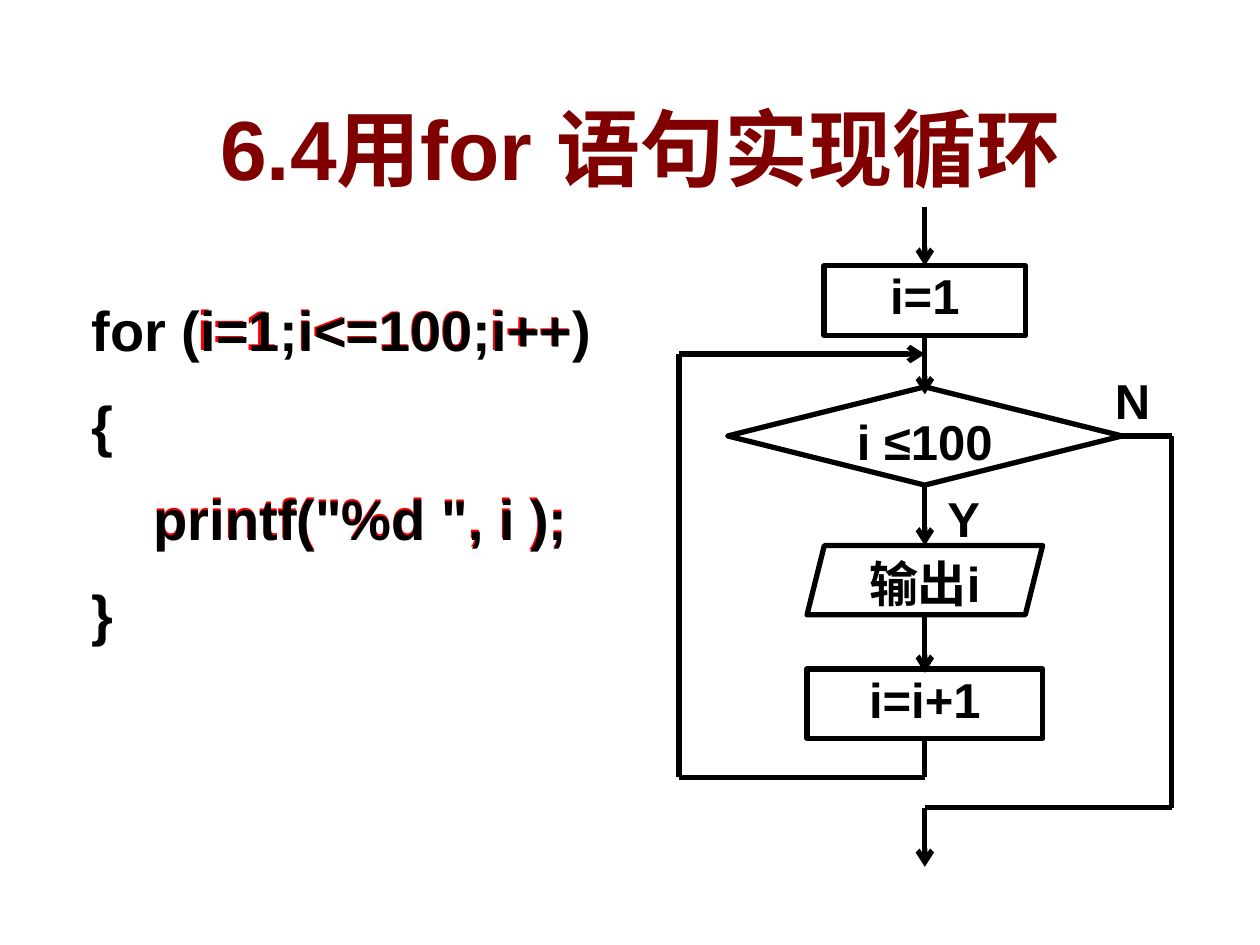
"""Build a slide showing a for loop beside its flowchart."""
from typing import NamedTuple

from lxml import etree
from pptx import Presentation
from pptx.dml.color import RGBColor
from pptx.enum.shapes import MSO_CONNECTOR, MSO_SHAPE as Preset
from pptx.enum.text import MSO_ANCHOR as Anchor, PP_ALIGN as Align
from pptx.oxml import parse_xml
from pptx.oxml.ns import nsdecls, qn
from pptx.util import Inches, Pt

BLACK, WHITE, RED, MAROON = "000000", "FFFFFF", "FF0000", "800000"
AXIS, LOOP_LEFT, EXIT_RIGHT = 7.34, 5.39, 9.3
LOOP_TOP, LOOP_BOTTOM, EXIT_TOP, DECISION_Y = 2.81, 6.17, 6.41, 3.46
ARROW_LENGTH = 0.47


class Label(NamedTuple):
    text: str
    left: float
    top: float
    width: float
    height: float
    color: str = BLACK
    size: int = 32
    line_spacing: float = 1.2


class Step(NamedTuple):
    text: str
    preset: Preset
    top: float
    width: float
    height: float = 0.55


class Line(NamedTuple):
    start: tuple[float, float]
    end: tuple[float, float]
    arrow: bool = False


CODE = 'for (i=1;i<=100;i++)\n{\n    printf("%d ", i );\n}'

LABELS = [
    Label('printf("%d ", i );', 1.12, 3.67, 3.67, 0.78, RED),
    Label("i++", 3.79, 2.18, 1.02, 0.78, RED),
    Label("i<=100", 2.26, 2.18, 1.8, 0.7, RED),
    Label("i=1", 1.47, 2.18, 1.02, 0.63, RED),
    Label(CODE, 0.63, 2.19, 4.22, 3.13),
    Label("Y", 7.42, 3.83, 0.55, 0.57, size=28, line_spacing=1),
    Label("N", 8.75, 2.89, 0.55, 0.57, size=28, line_spacing=1),
]

STEPS = [
    Step("i=1", Preset.FLOWCHART_PROCESS, 2.11, 1.6),
    Step("i ≤100", Preset.FLOWCHART_DECISION, 3.07, 3.13, 0.78),
    Step("输出i", Preset.PARALLELOGRAM, 4.33, 1.87),
    Step("i=i+1", Preset.FLOWCHART_PROCESS, 5.31, 1.87),
]

LINES = [
    *(Line((AXIS, top), (AXIS, top + ARROW_LENGTH), True)
      for top in (1.64, 2.66, 3.86, 4.87, EXIT_TOP)),
    Line((AXIS, 5.86), (AXIS, LOOP_BOTTOM)),
    Line((AXIS, LOOP_BOTTOM), (LOOP_LEFT, LOOP_BOTTOM)),
    Line((LOOP_LEFT, LOOP_BOTTOM), (LOOP_LEFT, LOOP_TOP)),
    Line((LOOP_LEFT, LOOP_TOP), (AXIS, LOOP_TOP), True),
    Line((8.9, DECISION_Y), (EXIT_RIGHT, DECISION_Y)),
    Line((EXIT_RIGHT, DECISION_Y), (EXIT_RIGHT, EXIT_TOP)),
    Line((EXIT_RIGHT, EXIT_TOP), (AXIS, EXIT_TOP)),
]


def rgb(color: str) -> RGBColor:
    return RGBColor.from_string(color)


def write(text_frame, text: str, size: int, color: str, align=Align.LEFT) -> None:
    text_frame.text = text
    for paragraph in text_frame.paragraphs:
        paragraph.alignment = align
        for run in paragraph.runs:
            run.font.name = "Arial"
            run.font.size = Pt(size)
            run.font.bold = True
            run.font.color.rgb = rgb(color)


def add_label(slide, label: Label):
    box = slide.shapes.add_textbox(Inches(label.left), Inches(label.top),
                                   Inches(label.width), Inches(label.height))
    text_frame = box.text_frame
    text_frame.word_wrap = True
    write(text_frame, label.text, label.size, label.color)
    for index, paragraph in enumerate(text_frame.paragraphs):
        paragraph.line_spacing = label.line_spacing
        paragraph.space_before = Pt(8 if index else 0)
    return box


def add_title(slide) -> None:
    title = Label("6.4用for 语句实现循环", 0.47, 0.71, 9.22, 0.91, MAROON, 48, 1)
    text_frame = add_label(slide, title).text_frame
    text_frame.vertical_anchor = Anchor.MIDDLE
    paragraph = text_frame.paragraphs[0]
    paragraph.alignment = Align.CENTER
    shadow = parse_xml(
        f'<a:effectLst {nsdecls("a")}><a:outerShdw dist="35921" dir="2700000">'
        '<a:srgbClr val="C0C0C0"/></a:outerShdw></a:effectLst>')
    fill = paragraph.runs[0].font._element.find(qn("a:solidFill"))
    fill.addnext(shadow)


def add_step(slide, step: Step) -> None:
    shape = slide.shapes.add_shape(
        step.preset, Inches(AXIS - step.width / 2), Inches(step.top),
        Inches(step.width), Inches(step.height))
    shape.shadow.inherit = False
    shape.fill.solid()
    shape.fill.fore_color.rgb = rgb(WHITE)
    shape.line.color.rgb = rgb(BLACK)
    shape.line.width = Pt(3)
    text_frame = shape.text_frame
    text_frame.margin_left = text_frame.margin_right = 0
    text_frame.margin_top = text_frame.margin_bottom = 0
    text_frame.word_wrap = False
    text_frame.vertical_anchor = Anchor.TOP
    write(text_frame, step.text, 28, BLACK, Align.CENTER)


def add_line(slide, line: Line) -> None:
    points = [Inches(value) for value in (*line.start, *line.end)]
    connector = slide.shapes.add_connector(MSO_CONNECTOR.STRAIGHT, *points)
    connector.line.color.rgb = rgb(BLACK)
    connector.line.width = Pt(3)
    if line.arrow:
        outline = connector.line._get_or_add_ln()
        etree.SubElement(outline, qn("a:tailEnd"), type="arrow")
    etree.SubElement(connector._element.spPr, qn("a:effectLst"))


def main() -> None:
    presentation = Presentation()
    presentation.slide_width = Inches(10)
    presentation.slide_height = Inches(7.5)
    slide = presentation.slides.add_slide(presentation.slide_layouts[6])
    add_title(slide)
    for step in STEPS:
        add_step(slide, step)
    for label in LABELS:
        add_label(slide, label)
    for line in LINES:
        add_line(slide, line)
    presentation.save("out.pptx")


if __name__ == "__main__":
    main()
